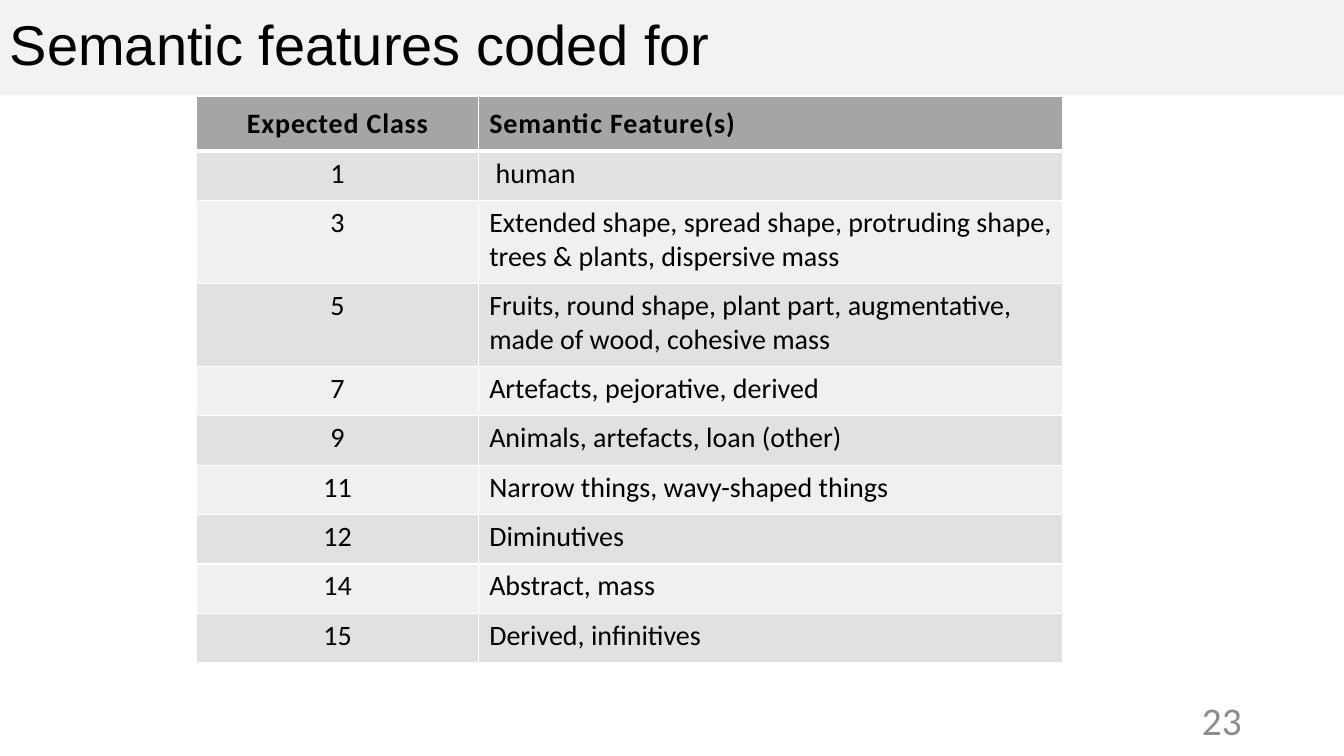
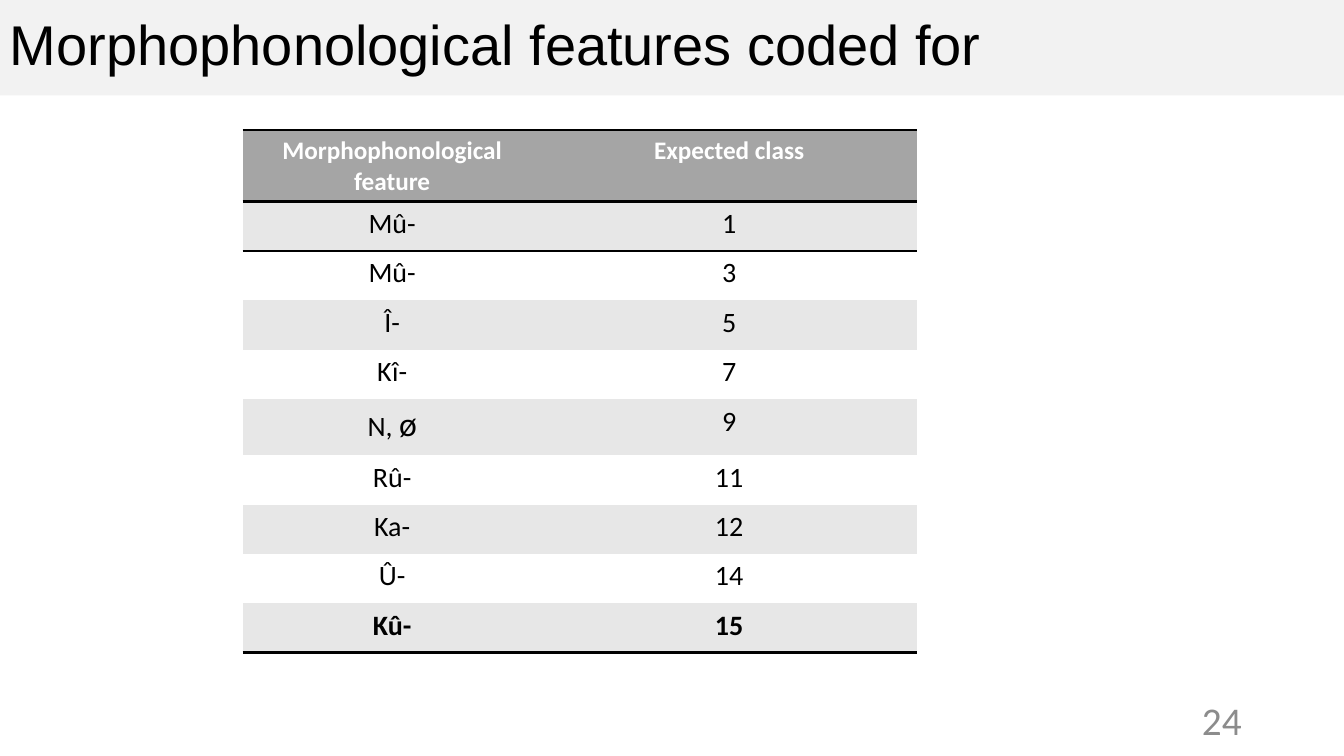
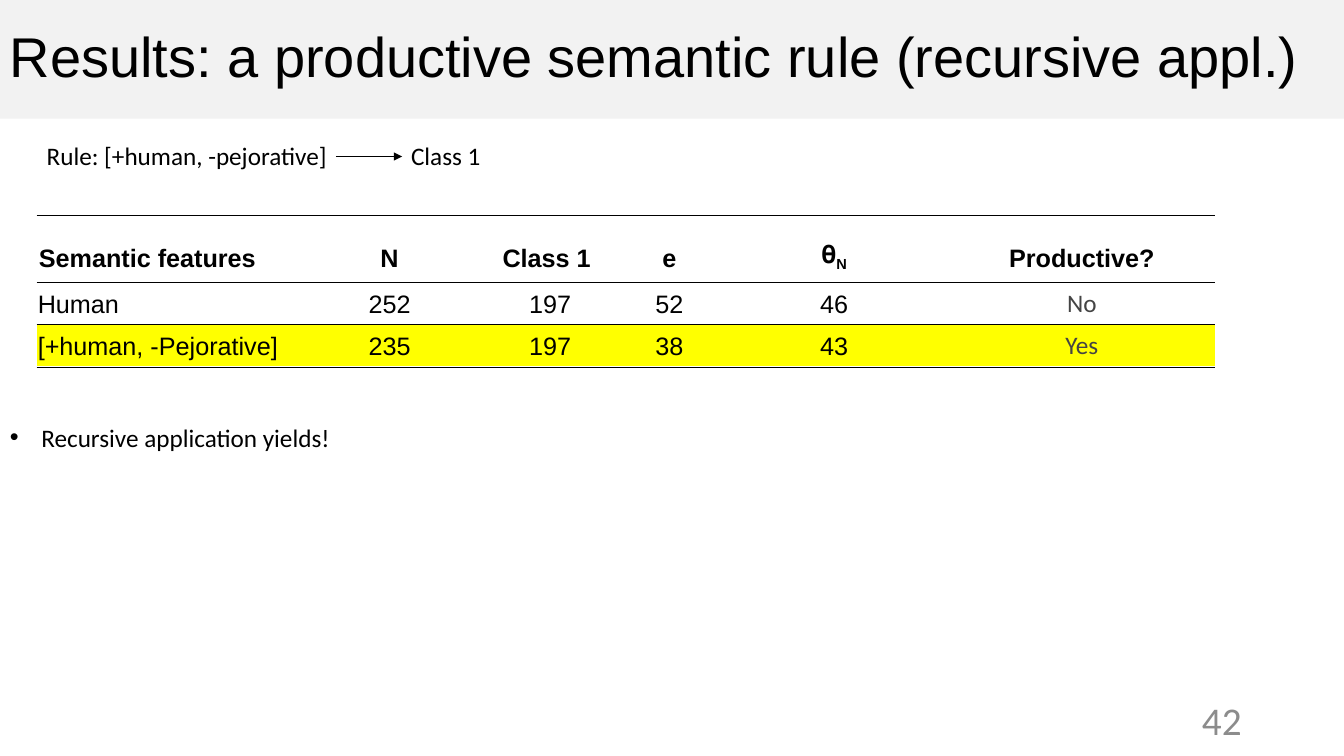
from dataclasses import dataclass, field, replace
from typing import Any

from lxml.etree import SubElement
from pptx import Presentation
from pptx.dml.color import RGBColor
from pptx.enum.shapes import MSO_CONNECTOR, MSO_SHAPE
from pptx.enum.text import MSO_ANCHOR, PP_ALIGN
from pptx.oxml.ns import qn
from pptx.oxml.xmlchemy import OxmlElement
from pptx.util import Emu, Pt

COLORS = {
    "black": "000000",
    "white": "FFFFFF",
    "title_band": "F2F2F2",
    "page_number": "8C8C8C",
    "header": "A5A5A5",
    "band_dark": "E1E1E1",
    "band_light": "F0F0F0",
    "band_gray": "E7E7E7",
    "verdict": "444444",
    "highlight": "FFFF00",
}
PLAIN_TABLE = "{2D5ABB26-0587-4C30-8999-92F81FD0307C}"
EDGES = ("L", "R", "T", "B")
LEFT, CENTER, RIGHT = PP_ALIGN.LEFT, PP_ALIGN.CENTER, PP_ALIGN.RIGHT


def px(length: int) -> Emu:
    return Emu(length * 9525)


@dataclass(frozen=True)
class Style:
    size: int
    name: str = "Calibri"
    color: str = "black"
    bold: bool = False
    xml: dict[str, str] = field(default_factory=dict)


@dataclass(frozen=True)
class Piece:
    text: str
    style: Style


@dataclass(frozen=True)
class Box:
    left: int
    top: int
    width: int
    height: int

    def emu(self) -> tuple[Emu, ...]:
        return tuple(px(n) for n in (self.left, self.top, self.width, self.height))


@dataclass(frozen=True)
class Row:
    cells: tuple[Any, ...]
    height: int
    style: Style
    fill: str | None
    insets: tuple[int, int, int, int]
    aligns: tuple[Any, ...]
    borders: dict[str, tuple[str, float]] = field(default_factory=dict)
    anchor: Any = MSO_ANCHOR.TOP


TITLE = Style(40, "Arial")
PAGE_NUMBER = Style(28, color="page_number")
BODY = Style(20)
NOTE = Style(18)
RESULT = Style(18, "Arial")
VERDICT = Style(18, color="verdict")
BODY_INSETS = (10, 5, 10, 10)


def rgb(name: str) -> RGBColor:
    return RGBColor.from_string(COLORS[name])


def apply(target: Any, values: dict[str, Any]) -> None:
    for key, value in values.items():
        setattr(target, key, value)


def write(paragraph: Any, content: Any, style: Style, align: Any = LEFT) -> None:
    paragraph.alignment = align
    pieces = (Piece(content, style),) if isinstance(content, str) else content
    for piece in pieces:
        run = paragraph.add_run()
        run.text = piece.text
        look = piece.style
        apply(run.font, {"size": Pt(look.size), "name": look.name, "bold": look.bold})
        run.font.color.rgb = rgb(look.color)
        for key, value in look.xml.items():
            run._r.get_or_add_rPr().set(key, value)


def add_text(slide: Any, box: Box, wrap: bool = True, anchor: Any = MSO_ANCHOR.TOP) -> Any:
    frame = slide.shapes.add_textbox(*box.emu()).text_frame
    apply(frame, {"word_wrap": wrap, "vertical_anchor": anchor})
    return frame.paragraphs[0]


def add_line(slide: Any, start: tuple[int, int], end: tuple[int, int], arrow: bool = False) -> None:
    line = slide.shapes.add_connector(MSO_CONNECTOR.STRAIGHT, *map(px, start + end))
    line.line.color.rgb = rgb("black")
    line.line.width = Pt(0.5)
    if arrow:
        SubElement(line.line._get_or_add_ln(), qn("a:tailEnd"), type="triangle")
    SubElement(line._element.spPr, qn("a:effectLst"))


def set_borders(cell: Any, borders: dict[str, tuple[str, float]]) -> None:
    properties = cell._tc.get_or_add_tcPr()
    for edge in reversed(EDGES):
        if edge not in borders:
            continue
        color, width = borders[edge]
        border = OxmlElement(f"a:ln{edge}")
        border.set("w", str(Pt(width)))
        fill = SubElement(border, qn("a:solidFill"))
        SubElement(fill, qn("a:srgbClr"), val=COLORS[color])
        properties.insert(0, border)


def add_grid(slide: Any, left: int, top: int, widths: tuple[int, ...], rows: list[Row]) -> None:
    box = Box(left, top, sum(widths), sum(row.height for row in rows))
    table = slide.shapes.add_table(len(rows), len(widths), *box.emu()).table
    table.horz_banding = False
    table._tbl.tblPr.find(qn("a:tableStyleId")).text = PLAIN_TABLE
    for column, width in zip(table.columns, widths):
        column.width = px(width)
    for r, row in enumerate(rows):
        table.rows[r].height = px(row.height)
        margins = dict(zip(("margin_left", "margin_top", "margin_right", "margin_bottom"),
                           map(px, row.insets)))
        for c, content in enumerate(row.cells):
            cell = table.cell(r, c)
            apply(cell, {**margins, "vertical_anchor": row.anchor})
            if row.fill:
                cell.fill.solid()
                cell.fill.fore_color.rgb = rgb(row.fill)
            else:
                cell.fill.background()
            set_borders(cell, row.borders)
            write(cell.text_frame.paragraphs[0], content, row.style, row.aligns[c])


def start_slide(deck: Any, title: str, number: int, band_height: int = 91) -> Any:
    slide = deck.slides.add_slide(deck.slide_layouts[6])
    band = slide.shapes.add_shape(MSO_SHAPE.RECTANGLE, *Box(0, 0, 1280, band_height).emu())
    band.shadow.inherit = False
    band.fill.solid()
    band.fill.fore_color.rgb = rgb("title_band")
    band.line.fill.background()
    apply(band.text_frame, {"word_wrap": True, "vertical_anchor": MSO_ANCHOR.MIDDLE})
    heading = band.text_frame.paragraphs[0]
    heading.line_spacing = 0.9
    write(heading, title, TITLE)
    footer = add_text(slide, Box(904, 667, 288, 38), anchor=MSO_ANCHOR.MIDDLE)
    write(footer, str(number), PAGE_NUMBER, RIGHT)
    return slide


def semantic_slide(deck: Any) -> None:
    slide = start_slide(deck, "Semantic features coded for", 23)
    features = (
        ("1", " human"),
        ("3", "Extended shape, spread shape, protruding shape, trees & plants, dispersive mass"),
        ("5", "Fruits, round shape, plant part, augmentative, made of wood, cohesive mass"),
        ("7", "Artefacts, pejorative, derived"),
        ("9", "Animals, artefacts, loan (other)"),
        ("11", "Narrow things, wavy-shaped things"),
        ("12", "Diminutives"),
        ("14", "Abstract, mass"),
        ("15", "Derived, infinitives"),
    )
    aligns = (CENTER, LEFT)
    grid = {edge: ("white", 1) for edge in EDGES}
    header_style = replace(BODY, bold=True, xml={"spc": "60"})
    rows = [Row(("Expected Class", "Semantic Feature(s)"), 51, header_style, "header",
                (10, 10, 10, 10), aligns, {**grid, "B": ("white", 3)}, MSO_ANCHOR.BOTTOM)]
    for i, cells in enumerate(features):
        borders = grid if i else {**grid, "T": ("white", 3)}
        rows.append(Row(cells, 79 if len(cells[1]) > 50 else 46, BODY,
                        ("band_dark", "band_light")[i % 2], BODY_INSETS, aligns, borders))
    add_grid(slide, 187, 92, (269, 556), rows)


def morphophonological_slide(deck: Any) -> None:
    slide = start_slide(deck, "Morphophonological features coded for", 24)
    prefixes = (
        ("Mû-", "1"), ("Mû-", "3"), ("Î-", "5"), ("Kî-", "7"),
        ((Piece("N, ", BODY), Piece("ø", replace(BODY, size=24))), "9"),
        ("Rû-", "11"), ("Ka-", "12"), ("Û-", "14"), ("Kû-", "15"),
    )
    aligns = (CENTER, CENTER)
    rule = ("black", 2)
    rows = [Row(("Morphophonological feature", "Expected class"), 68,
                replace(NOTE, color="white", bold=True), "header", (10, 5, 10, 5), aligns,
                {"T": rule, "B": rule})]
    for i, cells in enumerate(prefixes):
        last = i == len(prefixes) - 1
        borders = {"T": rule} if i == 0 else {"B": rule} if last else {}
        rows.append(Row(cells, 46 if isinstance(cells[0], str) else 51, replace(BODY, bold=last),
                        ("band_gray", "white")[i % 2], BODY_INSETS, aligns, borders))
    add_grid(slide, 231, 124, (285, 357), rows)


def results_slide(deck: Any) -> None:
    slide = start_slide(deck, "Results: a productive semantic rule (recursive appl.)", 42, 113)
    bold = replace(RESULT, bold=True)
    theta = (Piece("𝛉", bold), Piece("N", replace(bold, xml={"baseline": "-25000"})))
    aligns = (LEFT,) + (CENTER,) * 5
    rule = ("black", 0.5)
    rows = [Row(("Semantic features", "N", "Class 1 ", "e", theta, "Productive?"), 64, bold, None,
                (2, 2, 2, 9), aligns, {"T": rule, "B": rule}, MSO_ANCHOR.BOTTOM)]
    results = (
        ("Human", "252", "197", "52", "46", "No", None, {"T": rule}),
        ("[+human, -Pejorative]", "235", "197", "38", "43", "Yes", "highlight", {}),
    )
    for *counts, verdict, fill, borders in results:
        rows.append(Row((*counts, (Piece(verdict, VERDICT),)), 40, RESULT, fill,
                        (1, 1, 1, 5), aligns, borders, MSO_ANCHOR.BOTTOM))
    add_grid(slide, 35, 205, (249, 174, 132, 95, 219, 253), rows)
    add_line(slide, (35, 350), (1157, 350))

    rule_text = add_text(slide, Box(35, 129, 512, 38))
    tabs = SubElement(rule_text._p.get_or_add_pPr(), qn("a:tabLst"))
    SubElement(tabs, qn("a:tab"), pos=str(px(347)), algn="l")
    write(rule_text, "Rule: [+human, -pejorative]\tClass 1", NOTE)
    add_line(slide, (320, 149), (383, 149), arrow=True)

    conclusion = add_text(slide, Box(0, 397, 327, 68), wrap=False)
    properties = conclusion._p.get_or_add_pPr()
    for key, value in {"marL": px(30), "indent": px(-30)}.items():
        properties.set(key, str(value))
    SubElement(properties, qn("a:buFont"), typeface="Arial")
    SubElement(properties, qn("a:buChar"), char="•")
    write(conclusion, "Recursive application yields!", NOTE)


def main() -> None:
    deck = Presentation()
    apply(deck, {"slide_width": px(1280), "slide_height": px(720)})
    for build in (semantic_slide, morphophonological_slide, results_slide):
        build(deck)
    deck.save("out.pptx")


if __name__ == "__main__":
    main()
